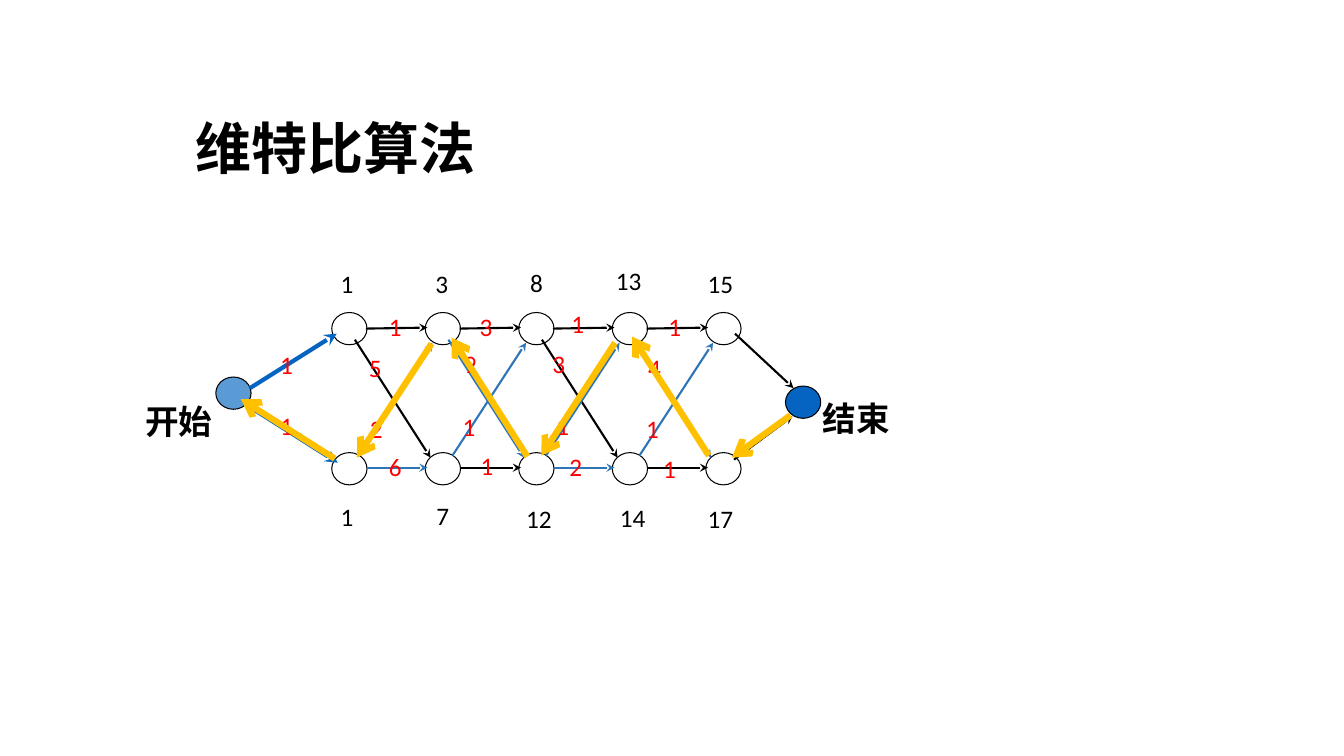
"""Build the Viterbi algorithm trellis slide."""
from lxml import etree
from pptx import Presentation
from pptx.dml.color import RGBColor
from pptx.enum.shapes import MSO_CONNECTOR, MSO_SHAPE
from pptx.enum.text import MSO_ANCHOR, MSO_AUTO_SIZE, PP_ALIGN
from pptx.oxml.ns import qn
from pptx.util import Inches, Pt

TITLE = "维特比算法"
LATIN, CJK = "Calibri", "Noto Sans CJK SC"
BLACK, RED, BLUE, DEEP, GOLD = "000000", "FF0000", "2E75B6", "0563C1", "FFC000"

NODE_W, NODE_H = 0.35, 0.32
FIRST_X, STEP, STAGES = 3.29, 0.9275, 5
ROW_Y = (3.1, 4.49)
END_NODES = [(2.14, 3.74, "5B9BD5"), (7.79, 3.83, DEEP)]
END_LABELS = [("开始", 1.44, 3.98), ("结束", 8.16, 3.95)]

# Offsets from each stage: x1, y1, x2, y2, then one colour per stage
STAGE_EDGES = [
    (0.23, 3.37, 0.98, 4.54, (BLACK, BLUE, BLACK, BLUE)),
    (0.27, 4.52, 1.0, 3.4, (BLUE, BLUE, BLUE, BLUE)),
    (0.34, 3.26, 0.95, 3.25, (BLACK, BLACK, BLACK, BLACK)),
    (0.35, 4.64, 0.95, 4.64, (BLUE, BLACK, BLUE, BLACK)),
]
END_EDGES = [
    (2.48, 3.85, 3.34, 3.31, DEEP, 3),
    (2.42, 4, 3.35, 4.59, DEEP, 3),
    (7.29, 3.31, 7.87, 3.85, BLACK, 1.5),
    (7.28, 4.56, 7.86, 4.13, BLACK, 1.5),
]
BACKTRACK = [
    (7.26, 4.54, 7.84, 4.12), (6.27, 3.34, 7.03, 4.52), (5.37, 4.52, 6.1, 3.4),
    (4.48, 3.35, 5.23, 4.53), (3.54, 4.54, 4.28, 3.41), (2.39, 3.96, 3.32, 4.55),
]
EDGE_COSTS = [
    ("1", 2.68, 3.42), ("1", 2.68, 4.02), ("5", 3.56, 3.45), ("2", 3.57, 4.05),
    ("1", 3.76, 3.04), ("6", 3.76, 4.43), ("3", 4.66, 3.04), ("1", 4.67, 4.42),
    ("1", 5.57, 3.01), ("9", 4.5, 3.41), ("1", 4.49, 4.03), ("3", 5.38, 3.41),
    ("1", 5.42, 4.02), ("4", 6.33, 3.45), ("1", 6.31, 4.05), ("1", 6.53, 3.04),
    ("2", 5.55, 4.43), ("1", 6.48, 4.45),
]
PATH_COSTS = [
    ("1", 3.28, 2.61), ("3", 4.22, 2.61), ("8", 5.16, 2.6), ("13", 6.01, 2.58),
    ("15", 6.92, 2.61), ("1", 3.28, 4.92), ("7", 4.23, 4.91), ("12", 5.12, 4.94),
    ("14", 6.05, 4.93), ("17", 6.92, 4.94),
]


def rgb(value):
    return RGBColor.from_string(value)


def format_text(tf, text, size, color=BLACK, font=LATIN, bold=False):
    tf.text = text
    p = tf.paragraphs[0]
    p.alignment = PP_ALIGN.LEFT
    r = p.runs[0]
    r.font.size, r.font.bold, r.font.name = Pt(size), bold, font
    r.font.color.rgb = rgb(color)
    etree.SubElement(r.font._element, qn("a:ea"), typeface=CJK)


def add_node(s, x, y, fill=None):
    sp = s.shapes.add_shape(MSO_SHAPE.OVAL, Inches(x), Inches(y),
                            Inches(NODE_W), Inches(NODE_H))
    sp.shadow.inherit = False
    if fill:
        sp.fill.solid()
        sp.fill.fore_color.rgb = rgb(fill)
    else:
        sp.fill.background()
    sp.line.color.rgb = rgb(BLACK)
    sp.line.width = Pt(0.75)


def add_edge(s, x1, y1, x2, y2, color, width, end="tailEnd", arrow="stealth"):
    cx = s.shapes.add_connector(MSO_CONNECTOR.STRAIGHT, Inches(x1), Inches(y1),
                                Inches(x2), Inches(y2))
    cx.line.color.rgb = rgb(color)
    cx.line.width = Pt(width)
    etree.SubElement(cx.line._get_or_add_ln(), qn(f"a:{end}"), type=arrow)
    etree.SubElement(cx._element.spPr, qn("a:effectLst"))


def add_cost(s, text, x, y, color):
    width = 0.2 + 0.13 * len(text)
    tf = s.shapes.add_textbox(Inches(x), Inches(y), Inches(width), Inches(0.4)).text_frame
    tf.word_wrap = False
    tf.auto_size = MSO_AUTO_SIZE.SHAPE_TO_FIT_TEXT
    format_text(tf, text, 18, color)


def add_end_label(s, text, x, y):
    tf = s.shapes.add_textbox(Inches(x), Inches(y), Inches(1.04), Inches(0.4)).text_frame
    tf.word_wrap = True
    tf.margin_left = tf.margin_top = tf.margin_right = tf.margin_bottom = 0
    format_text(tf, text, 24, font=CJK, bold=True)


def main():
    prs = Presentation()
    prs.slide_width, prs.slide_height = Inches(13.33), Inches(7.5)
    s = prs.slides.add_slide(prs.slide_layouts[5])

    title = s.shapes.title
    title.left, title.top = Inches(1.84), Inches(1.07)
    title.width, title.height = Inches(6.96), Inches(0.77)
    title.text_frame.vertical_anchor = MSO_ANCHOR.MIDDLE
    title.text_frame.auto_size = MSO_AUTO_SIZE.NONE
    format_text(title.text_frame, TITLE, 40, bold=True)

    columns = [FIRST_X + STEP * i for i in range(STAGES)]
    for x in columns:
        for y in ROW_Y:
            add_node(s, x, y)
    for node in END_NODES:
        add_node(s, *node)
    for x1, y1, x2, y2, colors in STAGE_EDGES:
        for x, color in zip(columns, colors):
            add_edge(s, x + x1, y1, x + x2, y2, color, 1.5)
    for edge in END_EDGES:
        add_edge(s, *edge)

    for label in END_LABELS:
        add_end_label(s, *label)
    for costs, color in ((EDGE_COSTS, RED), (PATH_COSTS, BLACK)):
        for cost in costs:
            add_cost(s, *cost, color)
    for edge in BACKTRACK:
        add_edge(s, *edge, GOLD, 4.5, "headEnd", "arrow")

    prs.save("out.pptx")


if __name__ == "__main__":
    main()
